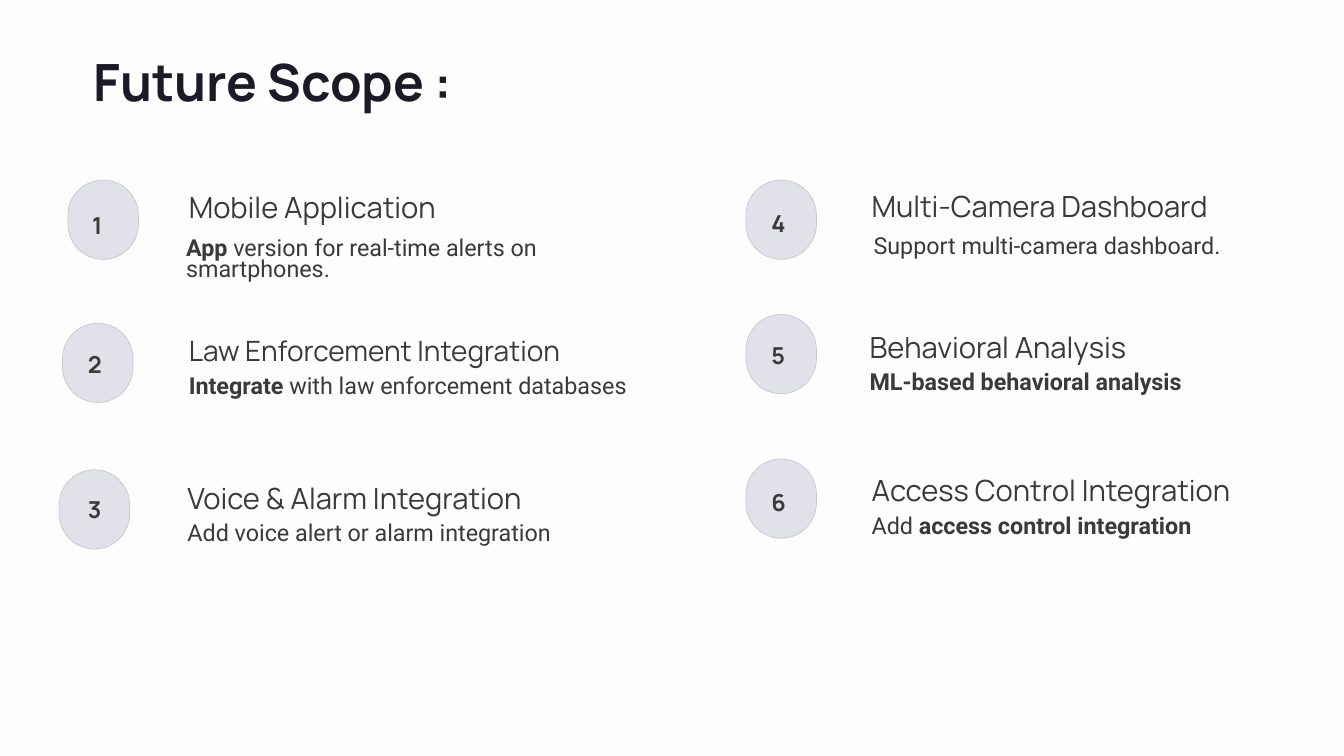
from pptx import Presentation
from pptx.dml.color import RGBColor
from pptx.enum.shapes import MSO_SHAPE
from pptx.enum.text import MSO_ANCHOR, MSO_AUTO_SIZE, PP_ALIGN
from pptx.util import Inches, Pt

COLORS = {
    "background": "FDFDFE",
    "title": "1B1B27",
    "text": "3C3939",
    "badge": "E1E1EA",
    "badge_line": "C7C7D0",
}
HEADING_FONT, BODY_FONT = "Manrope", "Roboto"
BADGE_WIDTH, BADGE_HEIGHT = 1.05, 1.18
NUMBER_SIZE, LINE_HEIGHT = 0.3, 0.3
TEXT_WIDTH = 6.8

TITLE = "Future Scope :"
# Each description is a list of (text, bold) runs; positions are (left, top) in inches.
ITEMS = [
    {"heading": "Mobile Application", "heading_at": (2.81, 3.04), "heading_size": 31.2,
     "description": [("App", True), (" version for real-time alerts on smartphones.", False)],
     "description_at": (2.77, 3.57), "badge_at": (1.01, 2.68), "number_at": (1.37, 3.27)},
    {"heading": "Law Enforcement Integration", "heading_at": (2.81, 5.16), "heading_size": 30,
     "description": [("Integrate", True), (" with law enforcement databases", False)],
     "description_at": (2.81, 5.63), "badge_at": (0.93, 4.81), "number_at": (1.31, 5.33)},
    {"heading": "Voice & Alarm Integration", "heading_at": (2.79, 7.37), "heading_size": 31.2,
     "description": [("Add voice alert or alarm integration", False)],
     "description_at": (2.79, 7.82), "badge_at": (0.88, 6.99), "number_at": (1.31, 7.49)},
    {"heading": "Multi-Camera Dashboard", "heading_at": (12.97, 3.02), "heading_size": 31.2,
     "description": [("Support multi-camera dashboard.", False)],
     "description_at": (13, 3.54), "badge_at": (11.1, 2.68), "number_at": (11.48, 3.24)},
    {"heading": "Behavioral Analysis", "heading_at": (12.94, 5.12), "heading_size": 31.2,
     "description": [("ML-based behavioral analysis", True)],
     "description_at": (12.94, 5.57), "badge_at": (11.1, 4.68), "number_at": (11.48, 5.2)},
    {"heading": "Access Control Integration", "heading_at": (12.97, 7.24), "heading_size": 31.2,
     "description": [("Add ", False), ("access control integration", True)],
     "description_at": (12.97, 7.71), "badge_at": (11.1, 6.83), "number_at": (11.48, 7.39)},
]


def color(name):
    return RGBColor.from_string(COLORS[name])


def write(shape, runs, *, size, font, line_spacing, color_name="text"):
    """Fill a shape with one paragraph made of (text, bold) runs."""
    frame = shape.text_frame
    frame.margin_left = frame.margin_right = frame.margin_top = frame.margin_bottom = 0
    frame.word_wrap = True
    frame.auto_size = MSO_AUTO_SIZE.NONE
    frame.vertical_anchor = MSO_ANCHOR.TOP
    paragraph = frame.paragraphs[0]
    paragraph.alignment = PP_ALIGN.LEFT
    paragraph.line_spacing = Pt(line_spacing)
    paragraph.space_before = Pt(0)
    for text, bold in runs:
        run = paragraph.add_run()
        run.text = text
        run.font.name = font
        run.font.size = Pt(size)
        run.font.bold = bold
        run.font.color.rgb = color(color_name)


def add_text(slide, position, width, runs, **text_format):
    left, top = position
    box = slide.shapes.add_textbox(
        Inches(left), Inches(top), Inches(width), Inches(LINE_HEIGHT))
    write(box, runs, **text_format)


def add_badge(slide, position):
    left, top = position
    badge = slide.shapes.add_shape(
        MSO_SHAPE.ROUNDED_RECTANGLE,
        Inches(left), Inches(top), Inches(BADGE_WIDTH), Inches(BADGE_HEIGHT))
    badge.adjustments[0] = 0.5
    badge.shadow.inherit = False
    badge.fill.solid()
    badge.fill.fore_color.rgb = color("badge")
    badge.line.color.rgb = color("badge_line")
    badge.line.width = Pt(0.75)


def add_item(slide, number, item):
    add_badge(slide, item["badge_at"])
    add_text(slide, item["number_at"], NUMBER_SIZE, [(str(number), True)],
             size=25, font=HEADING_FONT, line_spacing=21.2)
    add_text(slide, item["heading_at"], TEXT_WIDTH, [(item["heading"], False)],
             size=item["heading_size"], font=HEADING_FONT, line_spacing=21.9)
    add_text(slide, item["description_at"], TEXT_WIDTH + 0.1, item["description"],
             size=25, font=BODY_FONT, line_spacing=22.5)


def main():
    presentation = Presentation()
    presentation.slide_width, presentation.slide_height = Inches(20), Inches(11.25)
    slide = presentation.slides.add_slide(presentation.slide_layouts[5])
    slide.background.fill.solid()
    slide.background.fill.fore_color.rgb = color("background")

    title = slide.shapes.title
    title.left, title.top = Inches(1.39), Inches(1.05)
    title.width, title.height = Inches(5.75), Inches(0.65)
    write(title, [(TITLE, True)], size=55, font=HEADING_FONT,
          line_spacing=43.8, color_name="title")

    for number, item in enumerate(ITEMS, start=1):
        add_item(slide, number, item)
    presentation.save("out.pptx")


if __name__ == "__main__":
    main()
